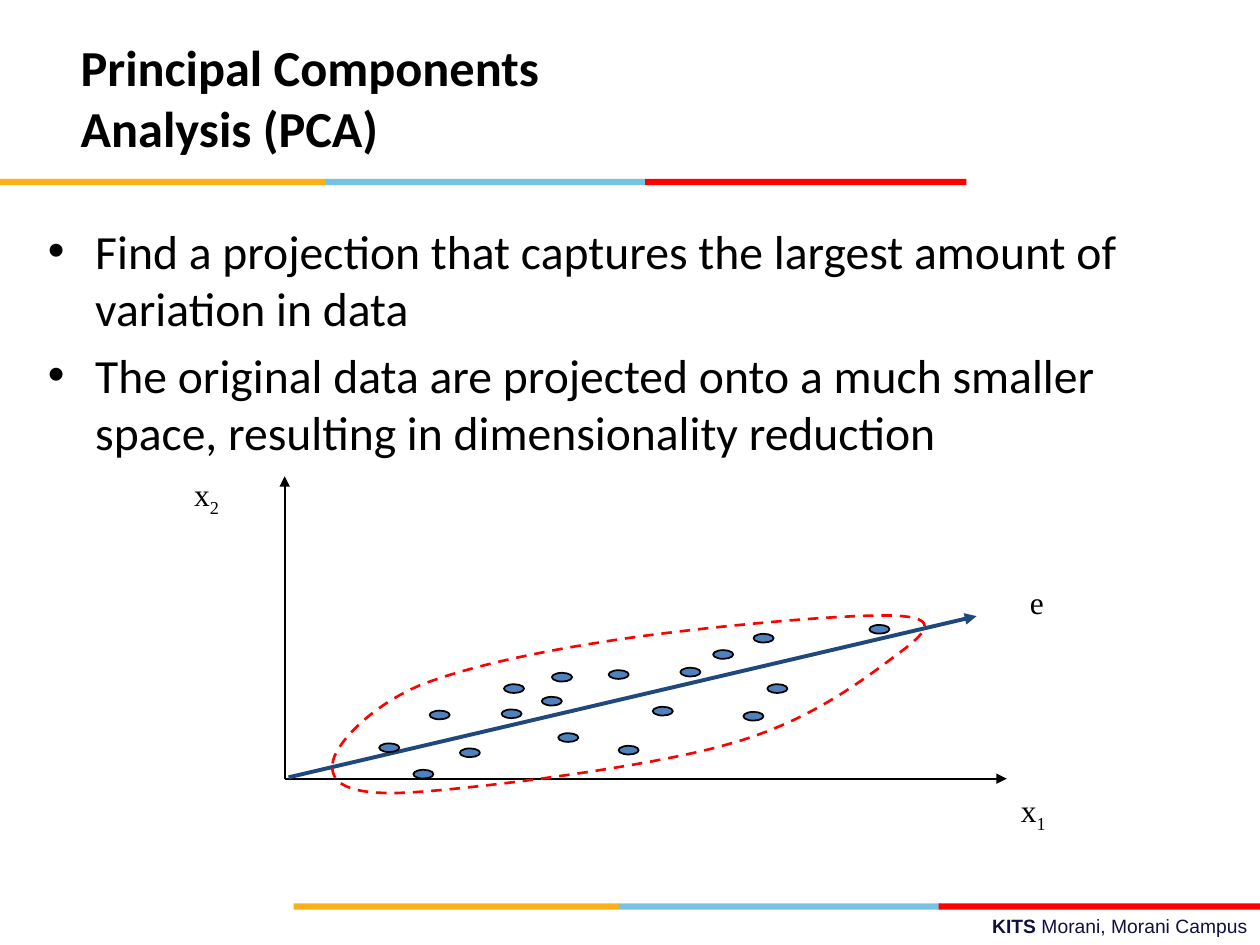
from lxml import etree
from pptx import Presentation
from pptx.dml.color import RGBColor
from pptx.enum.dml import MSO_LINE
from pptx.enum.shapes import MSO_CONNECTOR, MSO_SHAPE
from pptx.enum.text import MSO_ANCHOR, MSO_AUTO_SIZE, PP_ALIGN
from pptx.oxml.ns import qn
from pptx.util import Pt

RECT, OVAL = MSO_SHAPE.RECTANGLE, MSO_SHAPE.OVAL
LINE, DASH = MSO_CONNECTOR.STRAIGHT, MSO_LINE.DASH
MID, TOP, FIXED = MSO_ANCHOR.MIDDLE, MSO_ANCHOR.TOP, MSO_AUTO_SIZE.NONE
LEFT, MIDDLE, RIGHT = PP_ALIGN.LEFT, PP_ALIGN.CENTER, PP_ALIGN.RIGHT


def color(fmt, code):
    """Give a fill, or a font's colour, a hex colour."""
    if hasattr(fmt, "solid"):
        fmt.solid()
        fmt = fmt.fore_color
    fmt.rgb = RGBColor.from_string(code)


def style(item, **values):
    """Set each named attribute on the item."""
    for name, value in values.items():
        setattr(item, name, value)


deck = Presentation()
style(deck, slide_width=Pt(720), slide_height=Pt(540))
slide = deck.slides.add_slide(deck.slide_layouts[1])
shapes = slide.shapes

# Three-colour bars, under the title and above the footer
for left, top in ((0, 102.2), (167.8, 516.2)):
    for gap, width, code in ((0, 186, "FCB017"), (185.8, 183.6, "76C2E5"),
                             (368.6, 183.6, "FF0000")):
        bar = shapes.add_shape(RECT, Pt(left + gap), Pt(top), Pt(width), Pt(3.6))
        bar.shadow.inherit = False
        color(bar.fill, code)
        bar.line.fill.background()

# Title and list
title, body = slide.placeholders
texts = (
    (title, (38.9, 30.2, 378.7, 50.4), MID, 28.8, True,
     ["Principal Components Analysis (PCA)"]),
    (body, (20.2, 123.1, 657.4, 158.4), TOP, 27.2, False,
     ["Find a projection that captures the largest amount of variation in data",
      "The original data are projected onto a much smaller space, "
      "resulting in dimensionality reduction"]),
)
for holder, (left, top, width, height), anchor, size, bold, lines in texts:
    style(holder, left=Pt(left), top=Pt(top), width=Pt(width), height=Pt(height))
    frame = holder.text_frame
    frame.text = "\n".join(lines)
    style(frame, auto_size=FIXED, vertical_anchor=anchor, word_wrap=True)
    for para in frame.paragraphs:
        para.alignment = LEFT
        font = para.runs[0].font
        style(font, name="Calibri", size=Pt(size), bold=bold)
        color(font.color, "000000")
title.text_frame.margin_right = Pt(20)

# Footer and axis labels: box, alignment, font, size, colour, runs
notes = (
    ((257.8, 519.1, 462.2, 20.9), RIGHT, "Arial", 11, "101141",
     [("KITS ", True, 0), ("Morani, Morani Campus", False, 0)]),
    ((87.8, 267.8, 60.5, 31.7), MIDDLE, "Times New Roman", 18, "000000",
     [("x", False, 0), ("2", False, -25)]),
    ((560.2, 448.6, 60.5, 31.7), MIDDLE, "Times New Roman", 18, "000000",
     [("x", False, 0), ("1", False, -25)]),
    ((569.5, 328.3, 46, 31.7), MIDDLE, "Times New Roman", 18, "000000",
     [("e", False, 0)]),
)
for area, align, face, size, code, parts in notes:
    frame = shapes.add_textbox(*map(Pt, area)).text_frame
    style(frame, word_wrap=align == RIGHT, vertical_anchor=MID if align == MIDDLE else TOP)
    para = frame.paragraphs[0]
    para.alignment = align
    for text, bold, shift in parts:
        run = para.add_run()
        run.text = text
        style(run.font, name=face, size=Pt(size), bold=bold)
        color(run.font.color, code)
        if shift:
            run.font._element.set("baseline", str(shift * 1000))

# Axes and the principal direction
arrows = (
    ((162.7, 445, 162.7, 272.2), "000000", 1),
    ((162.7, 445, 575.3, 445), "000000", 1),
    ((164.9, 444.2, 558, 352.1), "1F497D", 2.25),
)
for ends, code, width in arrows:
    arrow = shapes.add_connector(LINE, *map(Pt, ends))
    color(arrow.line.fill, code)
    arrow.line.width = Pt(width)
    etree.SubElement(arrow.line._get_or_add_ln(), qn("a:tailEnd"), type="triangle")
    etree.SubElement(arrow._element.spPr, qn("a:effectLst"))

# Data points
dots = (
    (245.5, 406.1), (288, 391), (216.7, 424.8), (309.6, 398.2), (286.6, 405.4),
    (373, 403.9), (353.5, 426.2), (319, 419), (347.8, 383), (438.5, 391),
    (496.8, 357.1), (262.8, 427.7), (388.8, 381.6), (430.6, 362.2),
    (315.4, 384.5), (407.5, 371.5), (424.8, 406.8), (236.2, 439.9),
)
for left, top in dots:
    dot = shapes.add_shape(OVAL, Pt(left), Pt(top), Pt(11.5), Pt(5))
    dot.shadow.inherit = False
    color(dot.fill, "4F81BD")
    color(dot.line.fill, "000000")
    dot.line.width = Pt(1)

# Dashed outline around the data: cubic curves, each sampled in short steps
knots = (
    (190.1, 436.3), (190.8, 426.2), (211, 403.9), (239.8, 391.7),
    (268.6, 380.2), (315.4, 370.8), (361.4, 364.3),
    (407.5, 357.8), (491.8, 349.9), (515.5, 352.1),
    (540, 354.2), (524.9, 365), (508.3, 377.3),
    (491.8, 389.5), (460.8, 413.3), (415.4, 425.5),
    (370.1, 438.5), (271.4, 450.7), (234, 452.9),
    (196.6, 455), (188.6, 446.4), (190.1, 436.3),
)
steps = 16
points = []
for first in range(0, len(knots) - 1, 3):
    for step in range(1, steps + 1):
        t = step / steps
        parts = ((1 - t) ** 3, 3 * t * (1 - t) ** 2, 3 * t * t * (1 - t), t ** 3)
        points.append([Pt(sum(p * k[axis] for p, k in zip(parts, knots[first:first + 4])))
                       for axis in (0, 1)])
pen = shapes.build_freeform(*points[-1])
pen.add_line_segments(points[:-1], close=True)
ring = pen.convert_to_shape()
ring.shadow.inherit = False
ring.fill.background()
color(ring.line.fill, "FF0000")
style(ring.line, width=Pt(1.5), dash_style=DASH)

deck.save("out.pptx")
